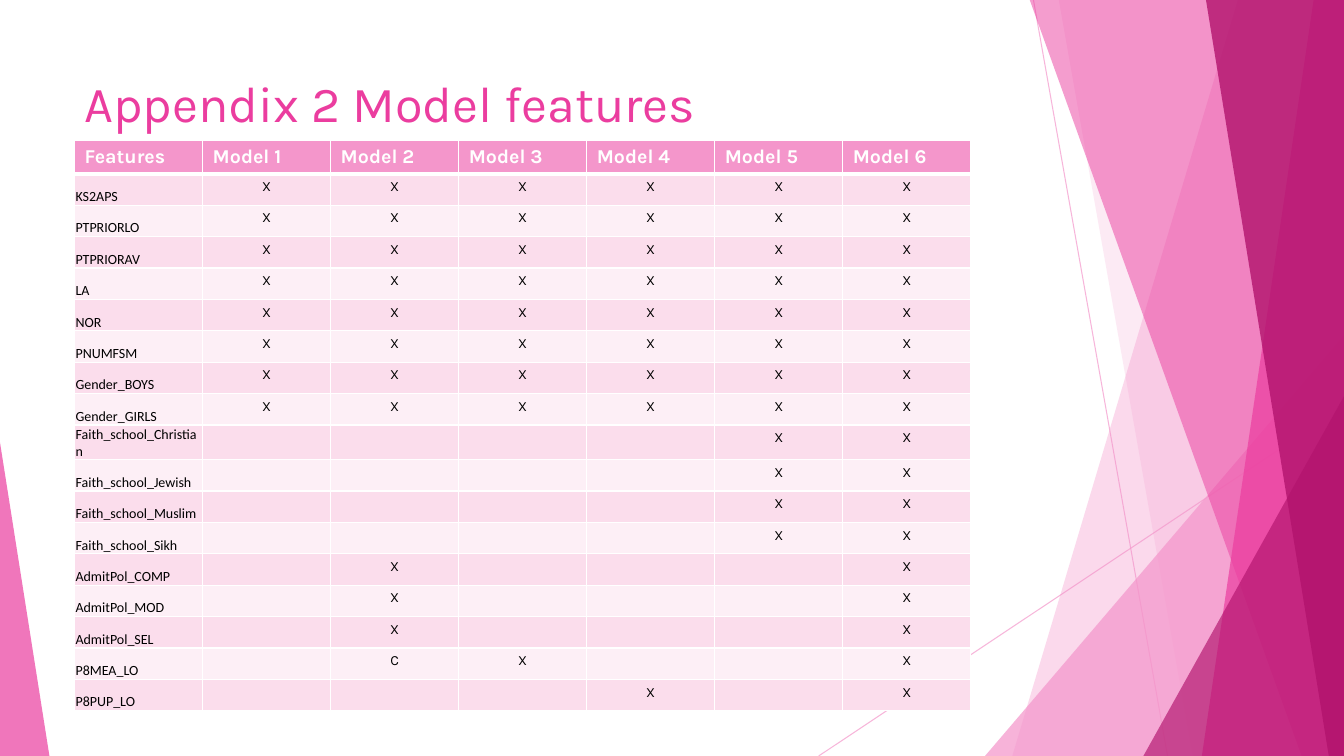
from lxml import etree
from pptx import Presentation
from pptx.dml.color import RGBColor
from pptx.enum import shapes, text
from pptx.oxml.ns import qn
from pptx.util import Inches, Pt

LIGHT = RGBColor(0xF4, 0x96, 0xCB)
PINK = RGBColor(0xEB, 0x3D, 0x9F)
DARK = RGBColor(0xB2, 0x13, 0x6D)
BANDS = [RGBColor(0xFD, 0xEF, 0xF6), RGBColor(0xFB, 0xDD, 0xEC)]
WHITE = RGBColor(0xFF, 0xFF, 0xFF)
BLACK = RGBColor(0, 0, 0)


def put(tf, words, size=10, font="Karla", color=BLACK, bold=False, align=text.PP_ALIGN.LEFT):
    p = tf.paragraphs[0]
    p.alignment = align
    if not words:
        etree.SubElement(p._p, qn("a:endParaRPr"), sz=str(size * 100))
        return
    r = p.add_run()
    r.text = words
    r.font.size = Pt(size)
    r.font.name = font
    r.font.bold = bold
    r.font.color.rgb = color


def tint(fill, color, opacity, owner):
    fill.solid()
    fill.fore_color.rgb = color
    clr = next(owner.iter(qn("a:srgbClr")))
    etree.SubElement(clr, qn("a:alpha"), val=str(opacity * 1000))


prs = Presentation()
prs.slide_width = Inches(13.33)
prs.slide_height = Inches(7.5)
s = prs.slides.add_slide(prs.slide_layouts[6])

for x1, y1, x2, y2 in [(10.25, 0, 11.58, 7.5), (13.33, 4.03, 8.12, 7.5)]:
    ln = s.shapes.add_connector(shapes.MSO_CONNECTOR.STRAIGHT, Inches(x1), Inches(y1), Inches(x2), Inches(y2))
    ln.line.width = Pt(0.75)
    tint(ln.line.fill, LIGHT, 70, ln._element.spPr)
    etree.SubElement(ln._element.spPr, qn("a:effectLst"))

SHARDS = [
    ("band", 12.28, 10.04, LIGHT, 36),
    ("band", 10.5, 11.83, LIGHT, 20),
    ("triangle", 9.77, 3.33, 3.56, 1, LIGHT, 72),
    ("band", 10.21, 12.91, PINK, 50),
    ("band", 13.03, 11.92, PINK, 70),
    ("band", 11.96, 13.18, DARK, 80),
    ("triangle", 11.34, 3.93, 1.99, 1, DARK, 66),
    ("triangle", 0, 4.39, 0.49, 0, PINK, 70),
]
for kind, *geometry, color, opacity in SHARDS:
    if kind == "band":
        top_x, bottom_x = geometry
        fb = s.shapes.build_freeform(Inches(top_x), Inches(-0.01))
        corners = [(13.33, -0.01), (13.33, 7.5), (bottom_x, 7.5)]
        fb.add_line_segments([(Inches(x), Inches(y)) for x, y in corners], close=True)
        sp = fb.convert_to_shape()
    else:
        left, top, width, apex = geometry
        sp = s.shapes.add_shape(shapes.MSO_SHAPE.ISOSCELES_TRIANGLE,
                                Inches(left), Inches(top), Inches(width), Inches(7.5 - top))
        sp.adjustments[0] = apex
    sp.shadow.inherit = False
    sp.line.fill.background()
    tint(sp.fill, color, opacity, sp._element.spPr)

title = s.shapes.add_textbox(Inches(0.74), Inches(0.67), Inches(9.4), Inches(1.44))
title.text_frame.word_wrap = True
put(title.text_frame, "Appendix 2 Model features", size=36, color=PINK)

HEADERS = ["Features"] + [f"Model {n}" for n in range(1, 7)]
FEATURES = [
    ("KS2APS", "XXXXXX"),
    ("PTPRIORLO", "XXXXXX"),
    ("PTPRIORAV", "XXXXXX"),
    ("LA", "XXXXXX"),
    ("NOR", "XXXXXX"),
    ("PNUMFSM", "XXXXXX"),
    ("Gender_BOYS", "XXXXXX"),
    ("Gender_GIRLS", "XXXXXX"),
    ("Faith_school_Christian", "----XX"),
    ("Faith_school_Jewish", "----XX"),
    ("Faith_school_Muslim", "----XX"),
    ("Faith_school_Sikh", "----XX"),
    ("AdmitPol_COMP", "-X---X"),
    ("AdmitPol_MOD", "-X---X"),
    ("AdmitPol_SEL", "-X---X"),
    ("P8MEA_LO", "-CX--X"),
    ("P8PUP_LO", "---X-X"),
]
rows = [HEADERS] + [[name, *marks.replace("-", " ")] for name, marks in FEATURES]
table = s.shapes.add_table(len(rows), len(HEADERS), Inches(0.74), Inches(1.39), Inches(8.89), Inches(5.61)).table
table.horz_banding = False

for i, row in enumerate(rows):
    for j, words in enumerate(row):
        cell = table.cell(i, j)
        tcPr = cell._tc.get_or_add_tcPr()
        for side in "LRTB":
            thick = (i, side) in [(0, "B"), (1, "T")]
            border = etree.SubElement(tcPr, qn(f"a:ln{side}"), w=str(Pt(3 if thick else 1)))
            paint = etree.SubElement(border, qn("a:solidFill"))
            etree.SubElement(paint, qn("a:srgbClr"), val=str(WHITE))
        cell.fill.solid()
        cell.fill.fore_color.rgb = BANDS[i % 2] if i else LIGHT
        tf = cell.text_frame
        if i == 0:
            put(tf, words, size=14, color=WHITE, bold=True)
        elif j == 0:
            cell.vertical_anchor = text.MSO_ANCHOR.BOTTOM
            cell.margin_left = cell.margin_right = cell.margin_top = Inches(0.01)
            cell.margin_bottom = 0
            put(tf, words, font="Calibri")
        else:
            put(tf, words.strip(), align=text.PP_ALIGN.CENTER)

prs.save("out.pptx")
